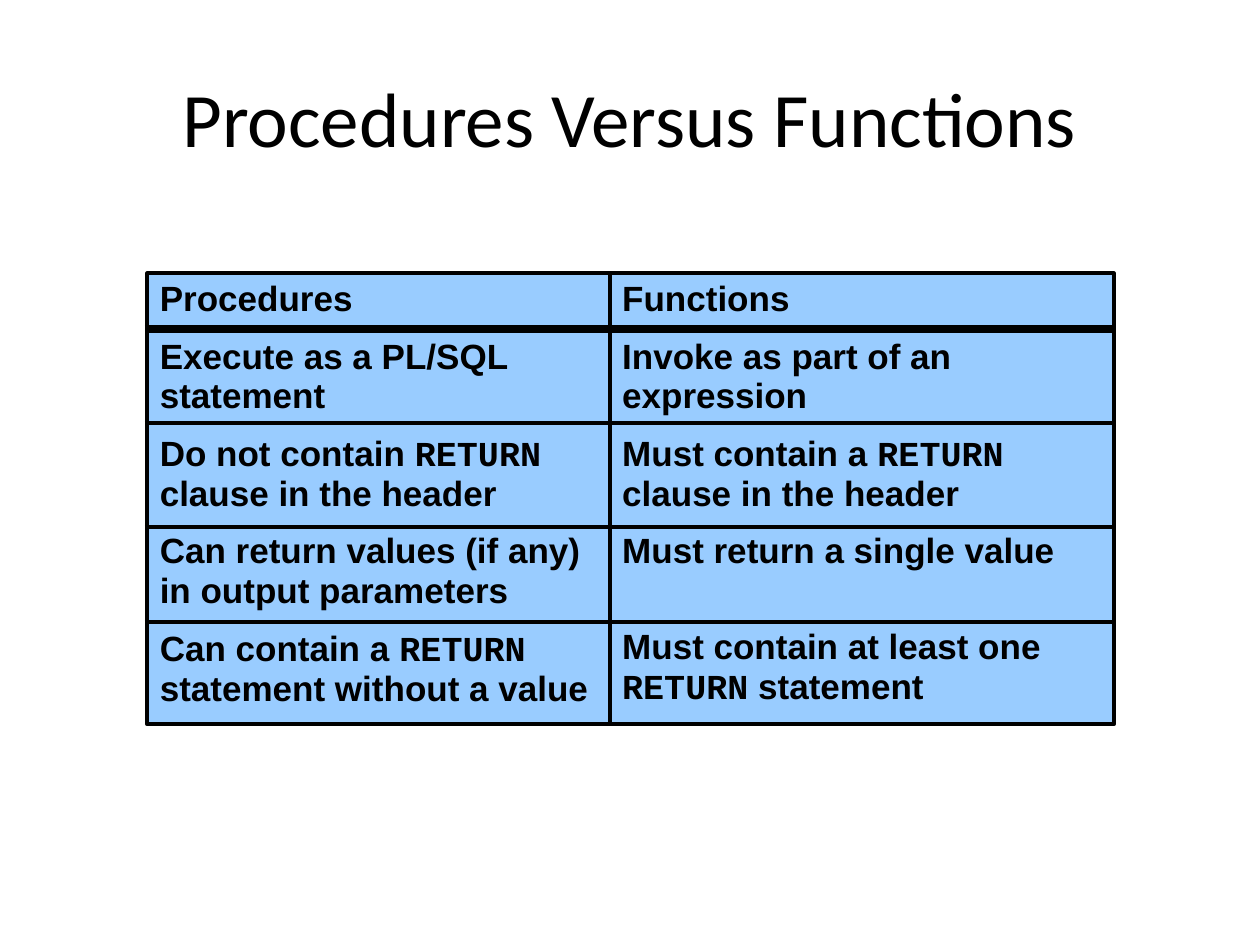
from pptx import Presentation
from pptx.dml.color import RGBColor
from pptx.enum.shapes import MSO_CONNECTOR, MSO_SHAPE
from pptx.enum.text import MSO_ANCHOR, PP_ALIGN
from pptx.oxml.ns import qn
from pptx.util import Inches, Pt
from lxml import etree

RECTANGLE = MSO_SHAPE.RECTANGLE
STRAIGHT = MSO_CONNECTOR.STRAIGHT
TOP, MIDDLE = MSO_ANCHOR.TOP, MSO_ANCHOR.MIDDLE
LEFT, CENTER = PP_ALIGN.LEFT, PP_ALIGN.CENTER

TITLE = "Procedures Versus Functions"
KEYWORD = "RETURN"
ONE_LINE_GAP = 22
COLUMNS = [
    (3.67, [
        ("Procedures", 0),
        ("Execute as a PL/SQL statement", 0),
        ("Do not contain RETURN clause in the header", 0),
        ("Can return values (if any) in output parameters", 0),
        ("Can contain a RETURN statement without a value", 0),
    ]),
    (4, [
        ("Functions", 0),
        ("Invoke as part of an expression", 0),
        ("Must contain a RETURN\nclause in the header", 0),
        ("Must return a single value", ONE_LINE_GAP),
        ("Must contain at least one RETURN statement", 0),
    ]),
]
RULES = [(2.61, 4.5), (3.36, 2.25), (4.18, 2.25), (4.94, 2.25)]
RULE_LEFT, RULE_RIGHT = 1.15, 8.85
GRID_LEFT, GRID_TOP, GRID_HEIGHT = 1.17, 2.17, 3.58

COLORS = {name: RGBColor.from_string(value) for name, value in
          {"ink": "000000", "panel": "99CCFF"}.items()}
TITLE_FONT = {"name": "Calibri", "size": Pt(44)}
BODY_FONT = {"name": "Arial", "size": Pt(20), "bold": True}
CODE_FONT = {**BODY_FONT, "name": "Courier New"}
ROW_FORMAT = {"alignment": LEFT, "line_spacing": 0.95, "space_before": Pt(10)}
PANEL_FRAME = {
    "word_wrap": True, "vertical_anchor": TOP,
    "margin_left": Inches(0.1), "margin_right": Inches(0.1),
    "margin_top": Inches(0.05), "margin_bottom": Inches(0.05),
}
TITLE_FRAME = {**PANEL_FRAME, "vertical_anchor": MIDDLE}


def apply(target, values):
    for key, value in values.items():
        setattr(target, key, value)


def add_run(paragraph, text, font):
    run = paragraph.add_run()
    run.text = text
    apply(run.font, font)
    run.font.color.rgb = COLORS["ink"]


def set_line(line, width):
    line.color.rgb = COLORS["ink"]
    line.width = Pt(width)


def write_row(paragraph, text, gap_after):
    apply(paragraph, {**ROW_FORMAT, "space_after": Pt(gap_after)})
    for number, line in enumerate(text.split("\n")):
        if number:
            paragraph.add_line_break()
        for part in line.partition(KEYWORD):
            if part:
                add_run(paragraph, part, CODE_FONT if part == KEYWORD else BODY_FONT)


def add_column(slide, left, width, rows):
    panel = slide.shapes.add_shape(
        RECTANGLE, Inches(left), Inches(GRID_TOP), Inches(width), Inches(GRID_HEIGHT))
    panel.shadow.inherit = False
    panel.fill.solid()
    panel.fill.fore_color.rgb = COLORS["panel"]
    set_line(panel.line, 2.25)
    frame = panel.text_frame
    apply(frame, PANEL_FRAME)
    for number, (text, gap_after) in enumerate(rows):
        paragraph = frame.add_paragraph() if number else frame.paragraphs[0]
        write_row(paragraph, text, gap_after)


def add_rule(slide, y, width):
    rule = slide.shapes.add_connector(
        STRAIGHT, Inches(RULE_LEFT), Inches(y), Inches(RULE_RIGHT), Inches(y))
    set_line(rule.line, width)
    etree.SubElement(rule._element.spPr, qn("a:effectLst"))


def main():
    presentation = Presentation()
    presentation.slide_width, presentation.slide_height = Inches(10), Inches(7.5)
    slide = presentation.slides.add_slide(presentation.slide_layouts[6])

    heading = slide.shapes.add_textbox(Inches(0.5), Inches(0.3), Inches(9), Inches(1.25))
    apply(heading.text_frame, TITLE_FRAME)
    heading_line = heading.text_frame.paragraphs[0]
    heading_line.alignment = CENTER
    add_run(heading_line, TITLE, TITLE_FONT)

    left = GRID_LEFT
    for width, rows in COLUMNS:
        add_column(slide, left, width, rows)
        left += width
    for y, width in RULES:
        add_rule(slide, y, width)

    presentation.save("out.pptx")


if __name__ == "__main__":
    main()
